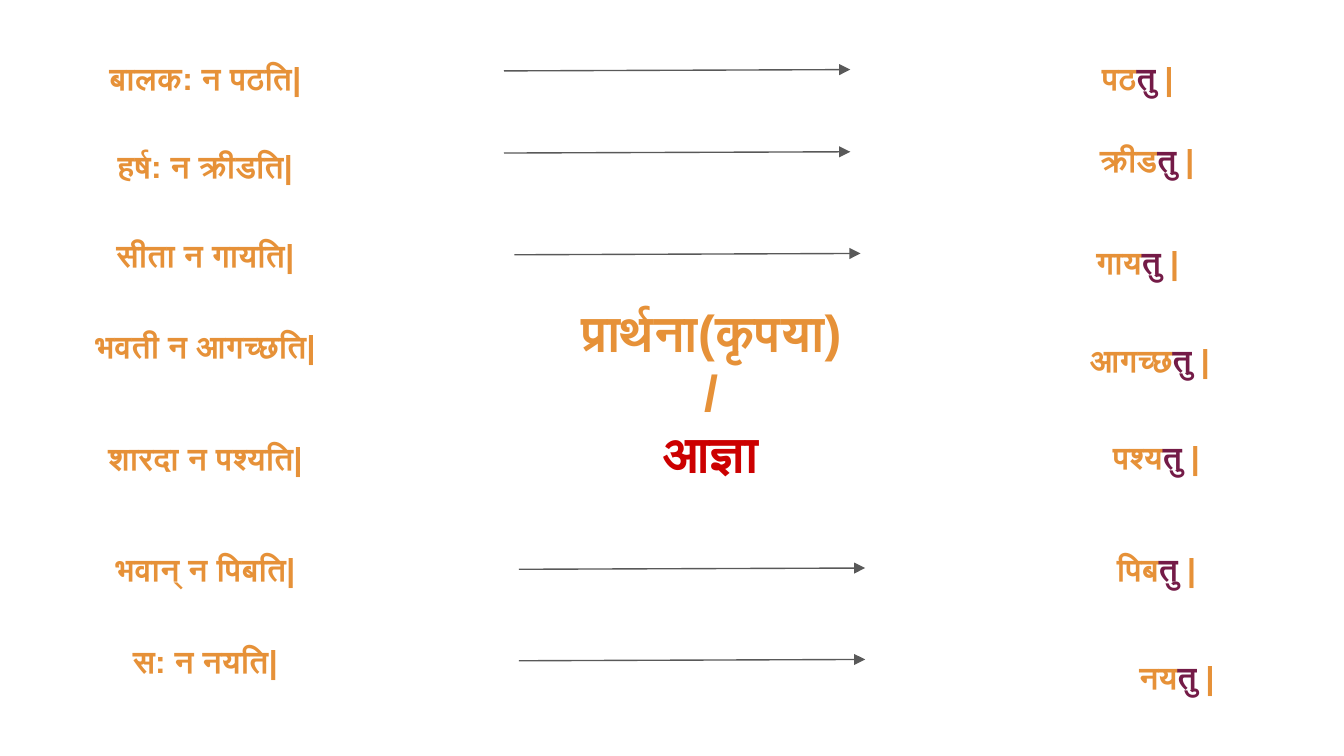
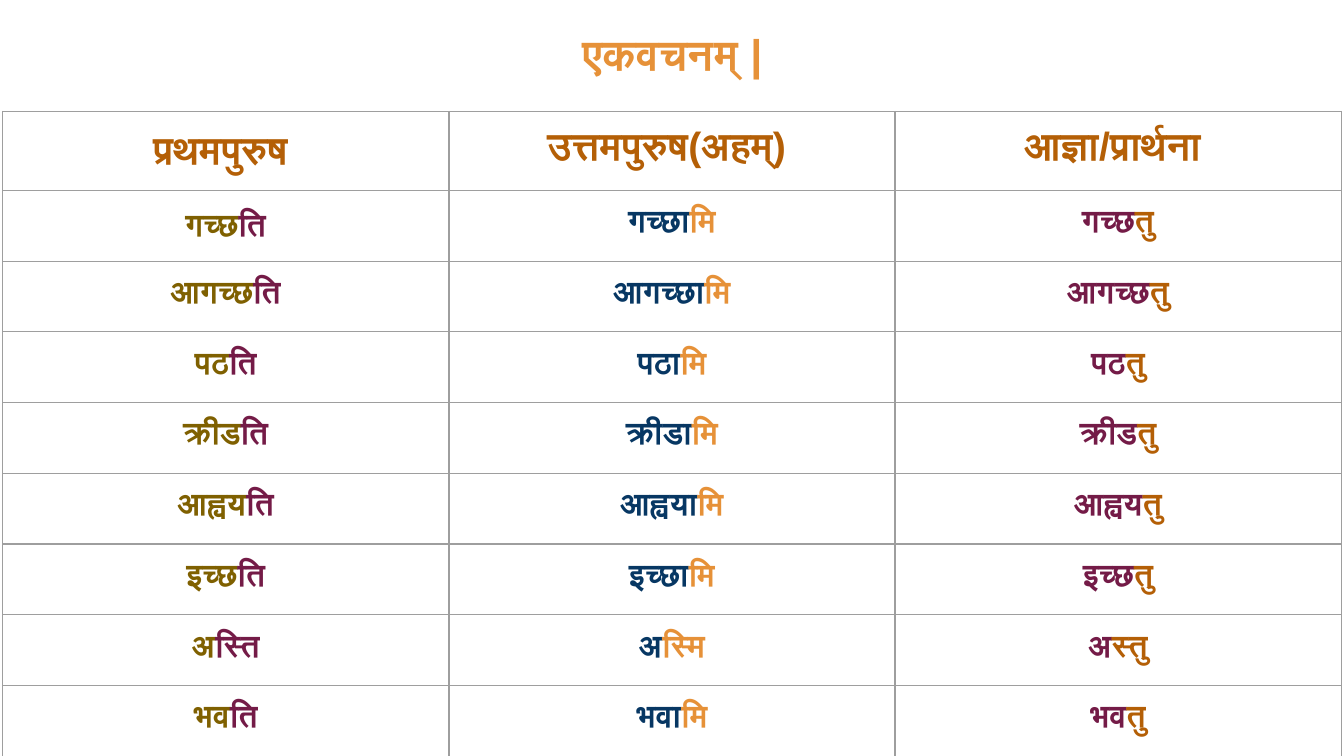
from typing import NamedTuple, Sequence

from lxml import etree
from pptx import Presentation
from pptx.dml.color import RGBColor
from pptx.enum import text as txt
from pptx.enum import shapes as shp
from pptx.oxml.ns import qn
from pptx.util import Pt

# Shared look
ORANGE = RGBColor(0xE6, 0x91, 0x38)
RED = RGBColor(0xCC, 0x00, 0x00)
PLUM = RGBColor(0x74, 0x1B, 0x47)
BROWN = RGBColor(0xB4, 0x5F, 0x06)
OLIVE = RGBColor(0x7F, 0x60, 0x00)
NAVY = RGBColor(0x07, 0x37, 0x63)
GREY = RGBColor(0x59, 0x59, 0x59)
EDGE = "9E9E9E"
FONT = "Arial"
BODY = 17
PAD = 7.2
TALL = 35.3


class Part(NamedTuple):
    text: str
    color: RGBColor


class Box(NamedTuple):
    left: float
    top: float
    width: float
    height: float = TALL


class Label(NamedTuple):
    text: str
    top: float
    width: float


class Order(NamedTuple):
    stem: str
    left: float
    top: float
    width: float


class Arrow(NamedTuple):
    left: float
    top: float


class Verb(NamedTuple):
    stem: str
    long: str
    link: str = ""


Line = Sequence[Part]

# Statements share one centre line
MID = 110
LABELS = [
    Label("बालक: न पठति|", 23.8, 154),
    Label("हर्ष: न क्रीडति|", 71.3, 130),
    Label("सीता न गायति|", 118.8, 130),
    Label("भवती न आगच्छति|", 167.8, 167),
    Label("शारदा न पश्यति|", 227.5, 167),
    Label("भवान् न पिबति|", 287.3, 167),
    Label("स: न नयति|", 336.2, 141),
]
ORDERS = [
    Order("पठ", 568, 23.8, 83),
    Order("क्रीड", 573, 67.7, 83),
    Order("गाय", 568, 122.4, 83),
    Order("आगच्छ", 569.5, 175, 93),
    Order("पश्य", 573, 226.8, 93),
    Order("पिब", 573, 287.3, 93),
    Order("नय", 584, 344.9, 93),
]
ARROWS = [Arrow(270, 38), Arrow(270, 82), Arrow(275.5, 136.5),
          Arrow(278, 305), Arrow(278, 354)]
REACH, RISE = 185.5, 0.7

HEADS = ["प्रथमपुरुष ", "उत्तमपुरुष(अहम्) ", "आज्ञा/प्रार्थना "]
VERBS = [
    Verb("गच्छ", "गच्छा"),
    Verb("आगच्छ", "आगच्छा"),
    Verb("पठ", "पठा"),
    Verb("क्रीड", "क्रीडा"),
    Verb("आह्वय", "आह्वया"),
    Verb("इच्छ", "इच्छा"),
    Verb("अ", "अ", "स्"),
    Verb("भव", "भवा"),
]


def write(frame, lines: Sequence[Line], size: float) -> None:
    """Fill a text frame with bold centred lines."""
    for i, line in enumerate(lines):
        para = frame.add_paragraph() if i else frame.paragraphs[0]
        para.alignment = txt.PP_ALIGN.CENTER
        para.font.name = FONT
        para.font.size = Pt(size)
        para.font.bold = True
        base = para._p.pPr.find(qn("a:defRPr"))
        etree.SubElement(base, qn("a:cs"), typeface=FONT)
        for part in line:
            run = para.add_run()
            run.text = part.text
            run.font.color.rgb = part.color


def pad(item) -> None:
    """Set equal insets on a text frame or cell."""
    item.margin_left = item.margin_right = Pt(PAD)
    item.margin_top = item.margin_bottom = Pt(PAD)


def dress(shape, box: Box, lines: Sequence[Line], size: float) -> None:
    """Place and format a text box or title."""
    shape.left, shape.top = Pt(box.left), Pt(box.top)
    shape.width, shape.height = Pt(box.width), Pt(box.height)
    frame = shape.text_frame
    frame.word_wrap = True
    frame.auto_size = txt.MSO_AUTO_SIZE.SHAPE_TO_FIT_TEXT
    frame.vertical_anchor = txt.MSO_ANCHOR.MIDDLE
    pad(frame)
    write(frame, lines, size)


def note(slide, box: Box, lines: Sequence[Line], size: float = BODY) -> None:
    dress(slide.shapes.add_textbox(0, 0, 0, 0), box, lines, size)


def point(slide, arrow: Arrow) -> None:
    """Draw one thin arrow to the right."""
    line = slide.shapes.add_connector(
        shp.MSO_CONNECTOR.STRAIGHT, Pt(arrow.left), Pt(arrow.top),
        Pt(arrow.left + REACH), Pt(arrow.top - RISE))
    line.line.color.rgb = GREY
    line.line.width = Pt(0.75)
    props = line.element.spPr
    etree.SubElement(props.find(qn("a:ln")), qn("a:tailEnd"), type="triangle")
    etree.SubElement(props, qn("a:effectLst"))


def edge(cell) -> None:
    """Rule all four sides of a cell."""
    props = cell._tc.get_or_add_tcPr()
    for side in ("lnL", "lnR", "lnT", "lnB"):
        rule = etree.SubElement(props, qn(f"a:{side}"), w=str(Pt(0.75)))
        fill = etree.SubElement(rule, qn("a:solidFill"))
        etree.SubElement(fill, qn("a:srgbClr"), val=EDGE)


def forms(verb: Verb) -> list[Line]:
    """Give the three forms of a verb, stem and ending."""
    return [
        [Part(verb.stem, OLIVE), Part(verb.link + "ति", PLUM)],
        [Part(verb.long, NAVY), Part(verb.link + "मि", ORANGE)],
        [Part(verb.stem, PLUM), Part(verb.link + "तु", BROWN)],
    ]


def orders(deck) -> None:
    slide = deck.slides.add_slide(deck.slide_layouts[6])
    # Statements
    for item in LABELS:
        box = Box(MID - item.width / 2, item.top, item.width)
        note(slide, box, [[Part(item.text, ORANGE)]])
    # Request or command
    note(slide, Box(283.5, 153.4, 195, 113),
         [[Part("प्रार्थना(कृपया)", ORANGE)], [Part("/", ORANGE)],
          [Part("आज्ञा", RED)]], 27)
    # Commands
    for item in ORDERS:
        note(slide, Box(item.left, item.top, item.width),
             [[Part(item.stem, ORANGE), Part("तु", PLUM), Part(" |", ORANGE)]])
    for arrow in ARROWS:
        point(slide, arrow)


def verbs(deck) -> None:
    slide = deck.slides.add_slide(deck.slide_layouts[5])
    dress(slide.shapes.title, Box(283.5, 7.2, 153.5, 42.5),
          [[Part("एकवचनम् |", ORANGE)]], 23)
    # Verb table
    rows = [[[Part(head, BROWN)] for head in HEADS]]
    rows += [forms(verb) for verb in VERBS]
    table = slide.shapes.add_table(
        len(rows), len(HEADS), Pt(1.5), Pt(59.7), Pt(717), Pt(345.5)).table
    table.first_row = table.horz_banding = False
    for col in table.columns:
        col.width = Pt(239)
    for r, row in enumerate(rows):
        table.rows[r].height = Pt(37.9 if r else 42.3)
        for c, line in enumerate(row):
            cell = table.cell(r, c)
            pad(cell)
            if c == 0 and r < 2:
                cell.vertical_anchor = txt.MSO_ANCHOR.MIDDLE
            edge(cell)
            cell.fill.background()
            write(cell.text_frame, [line], BODY if r else 21)


def main() -> None:
    deck = Presentation()
    deck.slide_width, deck.slide_height = Pt(720), Pt(405)
    orders(deck)
    verbs(deck)
    deck.save("out.pptx")


if __name__ == "__main__":
    main()
